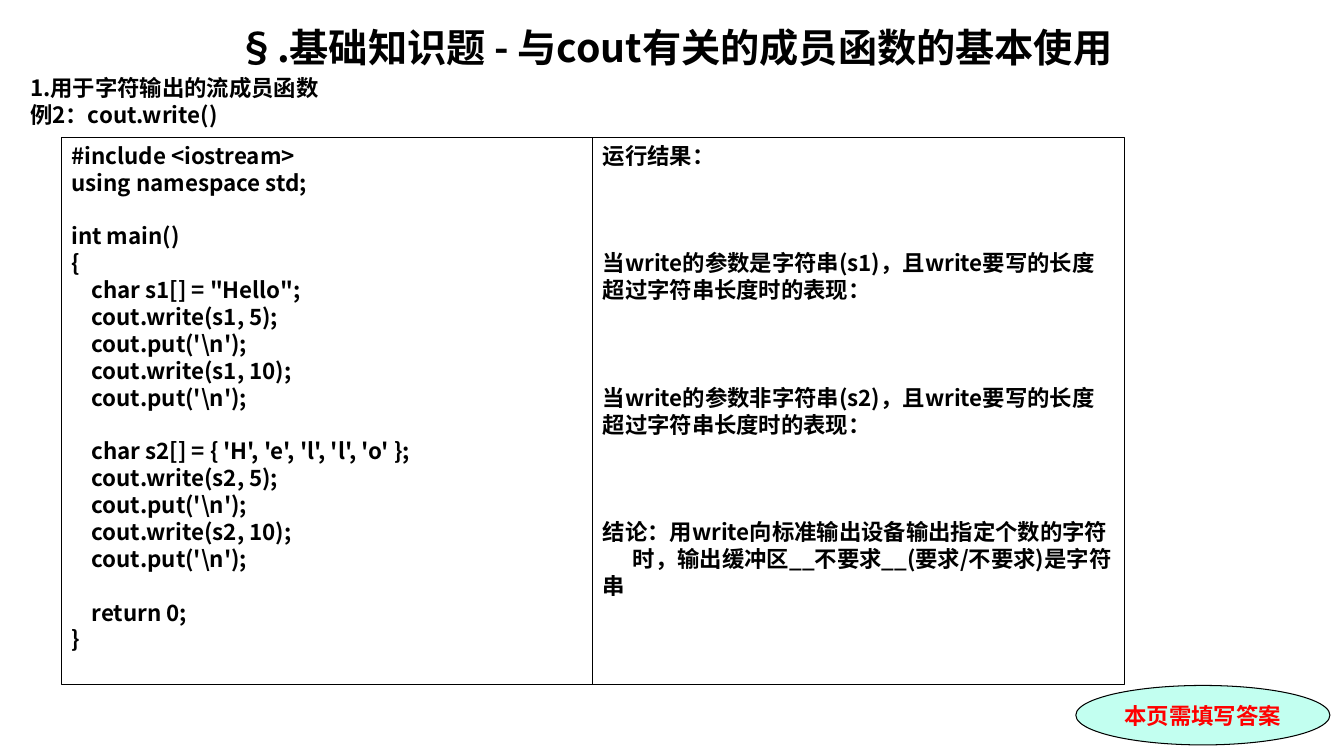
from pptx import Presentation
from pptx.dml.color import RGBColor as RGB
from pptx.enum.shapes import MSO_SHAPE as SHAPE
from pptx.enum.text import MSO_ANCHOR as ANCHOR, PP_ALIGN as ALIGN
from pptx.oxml.ns import qn
from pptx.util import Inches, Pt
from lxml.etree import SubElement


class Theme:
    black, red, mint = RGB(0, 0, 0), RGB(255, 0, 0), RGB(0xC2, 0xFF, 0xF0)
    sans, serif = "Noto Sans CJK SC", "Times New Roman"
    title, body = 28, 16
    leading = 1.2


LINE = Theme.body * Theme.leading

prs = Presentation()
prs.slide_width, prs.slide_height = Inches(13.33), Inches(7.5)
s = prs.slides.add_slide(prs.slide_layouts[6])


def write(tf, rows, size=Theme.body, color=Theme.black, font=Theme.sans, align=ALIGN.LEFT):
    """Fill a frame with (blank lines before, text) rows."""
    tf.word_wrap = True
    for i, (gap, text) in enumerate(rows):
        p = tf.paragraphs[0] if i == 0 else tf.add_paragraph()
        p.text = text
        p.alignment = align
        p.line_spacing = Pt(size * Theme.leading)
        if gap:
            p.space_before = Pt(gap * LINE)
        f = p.font
        f.name, f.size, f.bold = font, Pt(size), True
        f.color.rgb = color
        SubElement(p._p.pPr.find(qn("a:defRPr")), qn("a:ea"), typeface=Theme.sans)


def outlined(kind, x, y, w, h, fill=None):
    sp = s.shapes.add_shape(kind, Inches(x), Inches(y), Inches(w), Inches(h))
    sp.shadow.inherit = False
    if fill is None:
        sp.fill.background()
    else:
        sp.fill.solid()
        sp.fill.fore_color.rgb = fill
    sp.line.color.rgb, sp.line.width = Theme.black, Pt(0.75)
    return sp


# Title and section heading
left, width = 0.2, 12.99
tf = s.shapes.add_textbox(Inches(left), Inches(0.18), Inches(width), Inches(0.57)).text_frame
write(tf, [(0, "§.基础知识题 - 与cout有关的成员函数的基本使用")], Theme.title, align=ALIGN.CENTER)
tf = s.shapes.add_textbox(Inches(left), Inches(0.69), Inches(width), Inches(0.63)).text_frame
write(tf, [(0, "1.用于字符输出的流成员函数"), (0, "例2：cout.write()")])

# Code on the left, results on the right
code = [
    (0, "#include <iostream>"),
    (0, "using namespace std;"),
    (1, "int main()"),
    (0, "{"),
    (0, '    char s1[] = "Hello";'),
    (0, "    cout.write(s1, 5);"),
    (0, "    cout.put('\\n');"),
    (0, "    cout.write(s1, 10);"),
    (0, "    cout.put('\\n');"),
    (1, "    char s2[] = { 'H', 'e', 'l', 'l', 'o' };"),
    (0, "    cout.write(s2, 5);"),
    (0, "    cout.put('\\n');"),
    (0, "    cout.write(s2, 10);"),
    (0, "    cout.put('\\n');"),
    (1, "    return 0;"),
    (0, "}"),
]
results = [
    (0, "运行结果："),
    (3, "当write的参数是字符串(s1)，且write要写的长度"),
    (0, "超过字符串长度时的表现："),
    (3, "当write的参数非字符串(s2)，且write要写的长度"),
    (0, "超过字符串长度时的表现："),
    (3, "结论：用write向标准输出设备输出指定个数的字符"),
    (0, "时，输出缓冲区__不要求__(要求/不要求)是字符串"),
]
col_w = 5.27
for col, rows in enumerate((code, results)):
    sp = outlined(SHAPE.RECTANGLE, 0.61 + col * col_w, 1.36, col_w, 5.43)
    tf = sp.text_frame
    tf.vertical_anchor = ANCHOR.TOP
    write(tf, rows)
# First-line indent of the conclusion's second part
tf.paragraphs[-1]._p.pPr.set("indent", str(Inches(0.3)))

# Reminder badge
sp = outlined(SHAPE.OVAL, 10.67, 6.8, 2.52, 0.59, Theme.mint)
sp.text_frame.vertical_anchor = ANCHOR.MIDDLE
write(sp.text_frame, [(0, "本页需填写答案")], color=Theme.red, font=Theme.serif, align=ALIGN.CENTER)

prs.save("out.pptx")
